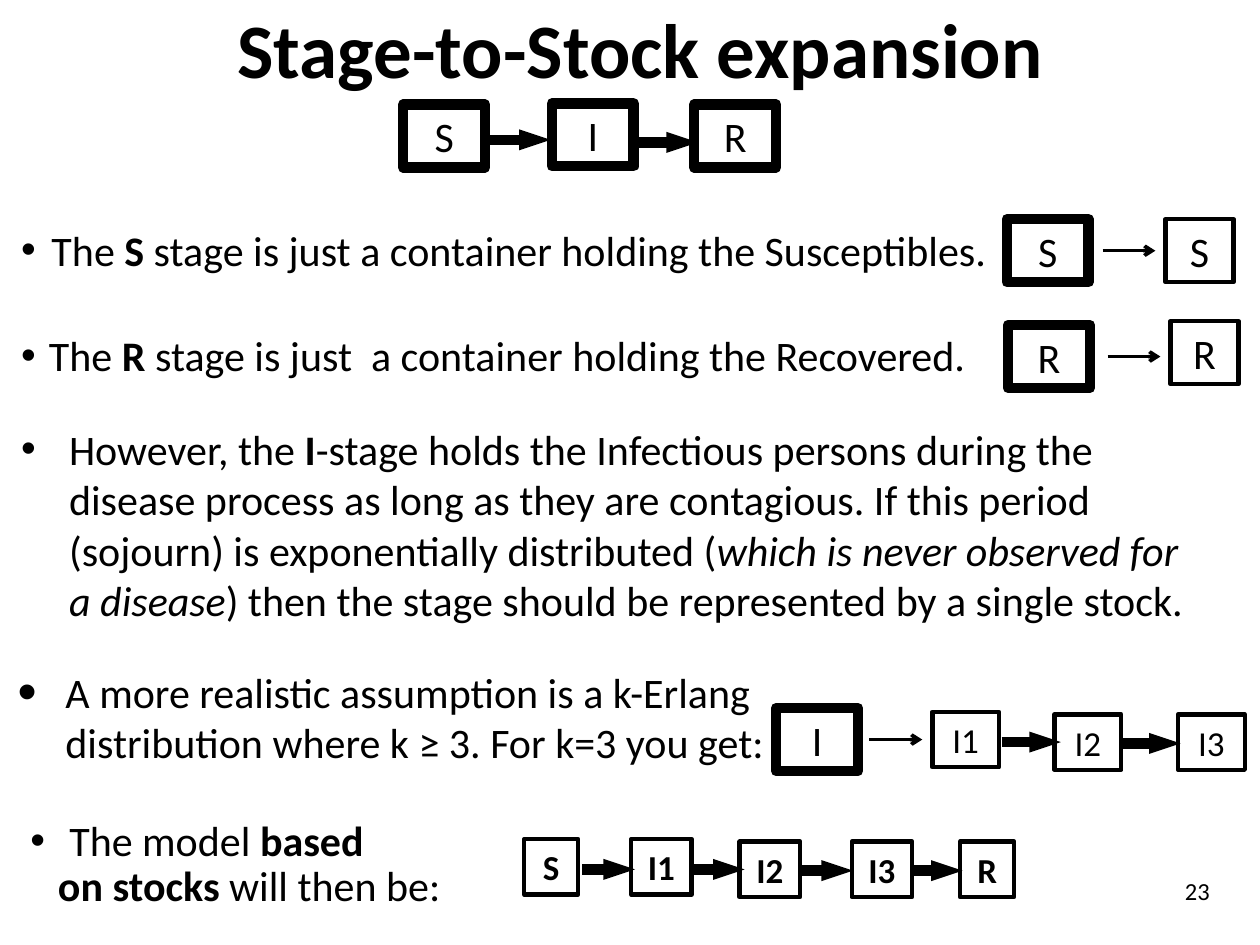
from lxml import etree
from pptx import Presentation
from pptx.dml.color import RGBColor
from pptx.enum.shapes import MSO_CONNECTOR, MSO_SHAPE
from pptx.enum.text import MSO_ANCHOR, PP_ALIGN
from pptx.oxml.ns import qn
from pptx.util import Inches, Pt

RECTANGLE = MSO_SHAPE.RECTANGLE
STRAIGHT = MSO_CONNECTOR.STRAIGHT
MIDDLE, TOP = MSO_ANCHOR.MIDDLE, MSO_ANCHOR.TOP
LEFT, CENTER, RIGHT = PP_ALIGN.LEFT, PP_ALIGN.CENTER, PP_ALIGN.RIGHT

FONT = "Calibri"
COLORS = {"ink": "000000"}
INK = RGBColor.from_string(COLORS["ink"])


def add_runs(paragraph, runs, size):
    """Add (text, style) runs; style holds b for bold and i for italic."""
    for text, style in runs:
        run = paragraph.add_run()
        run.text = text
        run.font.name = FONT
        run.font.size = Pt(size)
        run.font.bold = "b" in style
        run.font.italic = "i" in style
        run.font.color.rgb = INK


def set_indent(paragraph, margin, bullet_percent=None):
    """Set the left margin, with a hanging bullet if a size is given."""
    properties = paragraph._p.get_or_add_pPr()
    properties.set("marL", str(Inches(margin)))
    if bullet_percent:
        properties.set("indent", str(-Inches(margin)))
        size = etree.SubElement(properties, qn("a:buSzPct"))
        size.set("val", str(bullet_percent * 1000))
        font = etree.SubElement(properties, qn("a:buFont"))
        font.set("typeface", "Arial")
        bullet = etree.SubElement(properties, qn("a:buChar"))
        bullet.set("char", "•")


def add_text(slide, box, runs, size=24, align=LEFT, anchor=TOP, side_inset=0.1):
    """Add a text box and return its text frame."""
    text_frame = slide.shapes.add_textbox(*map(Inches, box)).text_frame
    text_frame.word_wrap = True
    text_frame.vertical_anchor = anchor
    text_frame.margin_left = text_frame.margin_right = Inches(side_inset)
    paragraph = text_frame.paragraphs[0]
    paragraph.alignment = align
    add_runs(paragraph, runs, size)
    return text_frame


def add_bullet(slide, box, runs, margin, bullet_percent=100, side_inset=0.1):
    text_frame = add_text(slide, box, runs, side_inset=side_inset)
    set_indent(text_frame.paragraphs[0], margin, bullet_percent)
    return text_frame


def add_box(slide, box, label, size, line_width, style=""):
    shape = slide.shapes.add_shape(RECTANGLE, *map(Inches, box))
    shape.shadow.inherit = False
    shape.fill.background()
    shape.line.color.rgb = INK
    shape.line.width = Pt(line_width)
    text_frame = shape.text_frame
    text_frame.word_wrap = False
    text_frame.vertical_anchor = MIDDLE
    paragraph = text_frame.paragraphs[0]
    paragraph.alignment = CENTER
    add_runs(paragraph, [(label, style)], size)


def add_stage(slide, left, top, label):
    add_box(slide, (left, top, 0.65, 0.5), label, 24, 6)


def add_stock(slide, left, top, label, width=0.53, height=0.44, size=20, style=""):
    add_box(slide, (left, top, width, height), label, size, 2.5, style)


def add_arrow(slide, left, y, length, line_width, head, head_width):
    connector = slide.shapes.add_connector(
        STRAIGHT, Inches(left), Inches(y), Inches(left + length), Inches(y))
    connector.line.color.rgb = INK
    connector.line.width = Pt(line_width)
    tail = etree.SubElement(connector.line._get_or_add_ln(), qn("a:tailEnd"))
    tail.set("type", head)
    tail.set("w", head_width)
    tail.set("len", "med")
    etree.SubElement(connector._element.spPr, qn("a:effectLst"))


def add_flow(slide, left, y, length):
    """Thick arrow between the boxes of one model."""
    add_arrow(slide, left, y, length, 6, "triangle", "sm")


def add_expansion(slide, left, y):
    """Thin arrow from a stage to its stocks."""
    add_arrow(slide, left, y, 0.42, 2, "arrow", "med")


def add_stage_model(slide):
    for left, top, label in ((3.2, 0.83, "S"), (4.38, 0.82, "I"), (5.51, 0.83, "R")):
        add_stage(slide, left, top, label)
    for left, y in ((3.89, 1.11), (5.06, 1.13)):
        add_flow(slide, left, y, 0.48)


def add_container_rows(slide):
    rows = (
        ("S", " stage is just a container holding the Susceptibles.",
         1.73, 0.24, 7.99, 9.25, 1.74, 8.75, 1.99),
        ("R", " stage is just  a container holding the Recovered.",
         2.57, 0.22, 8.0, 9.29, 2.55, 8.79, 2.83),
    )
    for (label, rest, top, margin, stage_left, stock_left, stock_top,
         arrow_left, arrow_y) in rows:
        add_bullet(slide, (0.07, top, 7.99, 0.5),
                   [("The ", ""), (label, "b"), (rest, "")], margin)
        add_stage(slide, stage_left, top + 0.01, label)
        add_stock(slide, stock_left, stock_top, label, 0.54, 0.5, 24)
        add_expansion(slide, arrow_left, arrow_y)


def add_infectious_expansion(slide):
    add_bullet(slide, (0.07, 3.31, 9.62, 1.72), [
        ("However, the ", ""), ("I", "b"),
        ("-stage holds the Infectious persons during the disease process as long "
         "as they are contagious. If this period (sojourn) is exponentially "
         "distributed (", ""),
        ("which is never observed for a disease", "i"),
        (") then the stage should be represented by a single stock.", ""),
    ], 0.38)
    add_bullet(slide, (0.12, 5.24, 6.03, 0.91), [
        ("A more realistic assumption is a k-Erlang distribution where k ≥ 3. "
         "For k=3 you get:", "")], 0.38, 130, 0.02)
    add_stage(slide, 6.16, 5.62, "I")
    add_expansion(slide, 6.9, 5.87)
    for left, top, label in ((7.4, 5.65, "I1"), (8.37, 5.67, "I2"), (9.35, 5.67, "I3")):
        add_stock(slide, left, top, label)
    for left, y in ((7.95, 5.89), (8.9, 5.9)):
        add_flow(slide, left, y, 0.47)


def add_stock_model(slide):
    text_frame = add_bullet(slide, (0.22, 6.46, 3.68, 0.83),
                            [("The model ", ""), ("based", "b")], 0.31, side_inset=0.02)
    second = text_frame.add_paragraph()
    add_runs(second, [("on stocks ", "b"), ("will then be:", "")], 24)
    set_indent(second, 0.22)
    for paragraph in text_frame.paragraphs:
        paragraph.line_spacing = 0.9
    stocks = ((4.16, 6.66, 0.43, "S"), (5.01, 6.66, 0.48, "I1"), (5.87, 6.68, 0.48, "I2"),
              (6.76, 6.68, 0.48, "I3"), (7.62, 6.68, 0.43, "R"))
    for left, top, width, label in stocks:
        add_stock(slide, left, top, label, width, style="b")
    for left, y in ((4.62, 6.9), (5.49, 6.9), (6.35, 6.91), (7.25, 6.91)):
        add_flow(slide, left, y, 0.42 if left < 7 else 0.39)


def main():
    presentation = Presentation()
    presentation.slide_width, presentation.slide_height = Inches(10), Inches(7.5)
    slide = presentation.slides.add_slide(presentation.slide_layouts[6])
    add_text(slide, (0.67, 0.03, 8.83, 0.7), [("Stage-to-Stock expansion", "b")],
             44, CENTER, MIDDLE)
    add_text(slide, (9.08, 6.9, 0.62, 0.44), [("23", "")], 14, RIGHT)
    add_stage_model(slide)
    add_container_rows(slide)
    add_infectious_expansion(slide)
    add_stock_model(slide)
    presentation.save("out.pptx")


if __name__ == "__main__":
    main()
